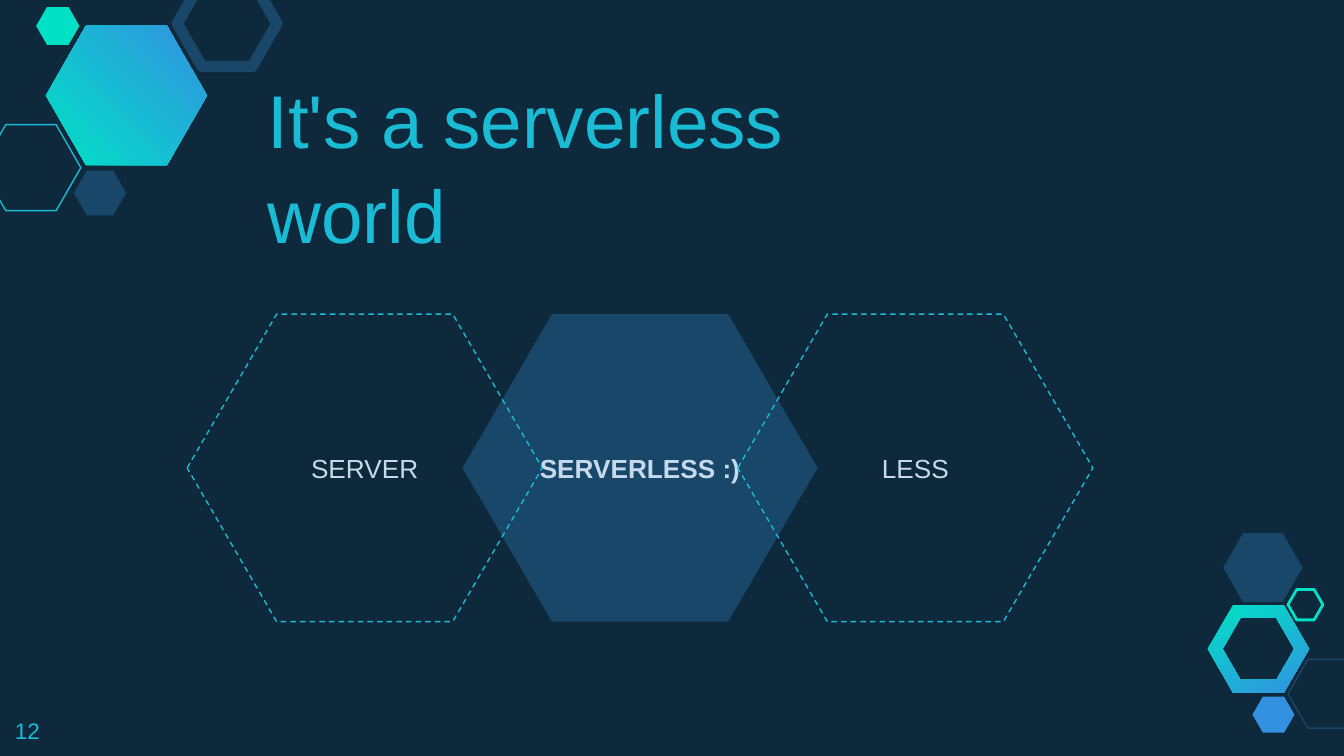
"""Build the "It's a serverless world" slide with three overlapping hexagons."""
import math

import pptx
import pptx.dml.color
import pptx.enum.dml
import pptx.enum.shapes
import pptx.enum.text
import pptx.util

Pt = pptx.util.Pt
RGBColor = pptx.dml.color.RGBColor
ALIGN = pptx.enum.text.PP_ALIGN
ANCHOR = pptx.enum.text.MSO_ANCHOR

NIGHT = RGBColor(0x0E, 0x29, 0x3C)
NAVY = RGBColor(0x18, 0x47, 0x69)
CYAN = RGBColor(0x19, 0xBB, 0xD5)
MINT = RGBColor(0x00, 0xE1, 0xC6)
BLUE = RGBColor(0x32, 0x92, 0xE1)
PALE = RGBColor(0xC6, 0xDA, 0xEC)

DECOR_ADJ, CONCEPT_ADJ = 0.287, 0.291
INSET = Pt(7.2)
FILLED_DECOR = [
    ((39.6, 91.4, 28, 24), NAVY),
    ((19.4, 3.8, 23.2, 20.2), MINT),
    ((671, 373.2, 22.5, 19.4), BLUE),
    ((655.3, 285.7, 42.5, 36.8), NAVY),
]
OUTLINED_DECOR = [
    ((-10.1, 66.8, 53.4, 46.1), CYAN, 0.75),
    ((95, -10.4, 53.4, 46.1), NAVY, 6),
    ((690, 353.3, 42.5, 36.8), NAVY, 0.75),
    ((690, 315.8, 18.7, 16.3), MINT, 1.5),
]


def set_attributes(target, values):
    """Set each named attribute on the target."""
    for name, value in values.items():
        setattr(target, name, value)


def write_text(shape, text, size, color, align=ALIGN.LEFT, anchor=ANCHOR.TOP,
               bold=False, spacing=1.0):
    """Write one formatted paragraph into a shape."""
    frame = shape.text_frame
    frame.text = text
    paragraph = frame.paragraphs[0]
    set_attributes(frame, {
        "word_wrap": True, "auto_size": pptx.enum.text.MSO_AUTO_SIZE.NONE,
        "vertical_anchor": anchor, "margin_left": INSET, "margin_right": INSET,
        "margin_top": INSET, "margin_bottom": INSET,
    })
    set_attributes(paragraph, {"alignment": align, "line_spacing": spacing})
    font = paragraph.runs[0].font
    set_attributes(font, {"name": "Arial", "size": Pt(size), "bold": bold})
    font.color.rgb = color


def paint(shape, fill=None, line=None, width=0.75, dash=None):
    """Give a shape a plain fill and outline without shadow."""
    shape.shadow.inherit = False
    if fill is None:
        shape.fill.background()
    else:
        shape.fill.solid()
        shape.fill.fore_color.rgb = fill
    if line is None:
        shape.line.fill.background()
    else:
        shape.line.color.rgb = line
        set_attributes(shape.line, {"width": Pt(width), "dash_style": dash})


def paint_gradient(shape, angle):
    """Fill a shape with the mint to blue gradient."""
    paint(shape)
    shape.fill.gradient()
    shape.fill.gradient_angle = angle
    for stop, color in zip(shape.fill.gradient_stops, (MINT, BLUE)):
        stop.color.rgb = color


def add_hexagon(slide, box, adjustment=DECOR_ADJ):
    """Add a hexagon in a box given in points."""
    kind = pptx.enum.shapes.MSO_SHAPE.HEXAGON
    hexagon = slide.shapes.add_shape(kind, *map(Pt, box))
    hexagon.adjustments[0] = adjustment
    return hexagon


def hexagon_points(center, radius):
    """Return the corners of a regular hexagon."""
    x, y = center
    return [(Pt(x + radius * math.cos(math.radians(angle))),
             Pt(y + radius * math.sin(math.radians(angle))))
            for angle in range(0, 360, 60)]


def add_hexagon_ring(slide, center, outer_radius, inner_radius):
    """Add a hexagon with a hexagonal hole."""
    outer = hexagon_points(center, outer_radius)
    inner = hexagon_points(center, inner_radius)[::-1]
    builder = slide.shapes.build_freeform(*outer[0])
    builder.add_line_segments(outer[1:], close=True)
    builder.move_to(*inner[0])
    builder.add_line_segments(inner[1:], close=True)
    return builder.convert_to_shape()


def add_decoration(slide):
    """Add the hexagon clusters in two corners."""
    paint_gradient(add_hexagon_ring(slide, (674.2, 347.7), 27.1, 19.2), 296)
    paint_gradient(add_hexagon(slide, (24.6, 13.9, 86.3, 74.6)), 45)
    for box, color in FILLED_DECOR:
        paint(add_hexagon(slide, box), fill=color)
    for box, color, width in OUTLINED_DECOR:
        paint(add_hexagon(slide, box), line=color, width=width)


def add_concept(slide, position, label, bold=False, **style):
    """Add one labelled hexagon of the overlapping row."""
    box = (100.3 + position * 147.5, 168.3, 190.2, 164.8)
    hexagon = add_hexagon(slide, box, CONCEPT_ADJ)
    paint(hexagon, **style)
    write_text(hexagon, label, 14, PALE, ALIGN.CENTER, ANCHOR.MIDDLE, bold)


def place_title(slide, text):
    """Move and format the title placeholder."""
    title = slide.shapes.title
    set_attributes(title, {"left": Pt(136.1), "top": Pt(94.3),
                           "width": Pt(389.5), "height": Pt(51.1)})
    write_text(title, text, 40, CYAN, anchor=ANCHOR.BOTTOM, spacing=1.05)


def add_page_number(slide, number):
    """Add the page number at the lower left."""
    box = slide.shapes.add_textbox(Pt(0.9), Pt(376.8), Pt(43.2), Pt(28.1))
    write_text(box, number, 12, CYAN)


def main():
    """Build and save the slide."""
    deck = pptx.Presentation()
    set_attributes(deck, {"slide_width": Pt(720), "slide_height": Pt(405)})
    slide = deck.slides.add_slide(deck.slide_layouts[5])
    slide.background.fill.solid()
    slide.background.fill.fore_color.rgb = NIGHT

    add_decoration(slide)
    add_concept(slide, 1, "SERVERLESS :)", bold=True, fill=NAVY)
    place_title(slide, "It's a serverless world")
    for position, label in ((0, "SERVER"), (2, "LESS")):
        add_concept(slide, position, label, line=CYAN,
                    dash=pptx.enum.dml.MSO_LINE.DASH)
    add_page_number(slide, "12")
    deck.save("out.pptx")


if __name__ == "__main__":
    main()
